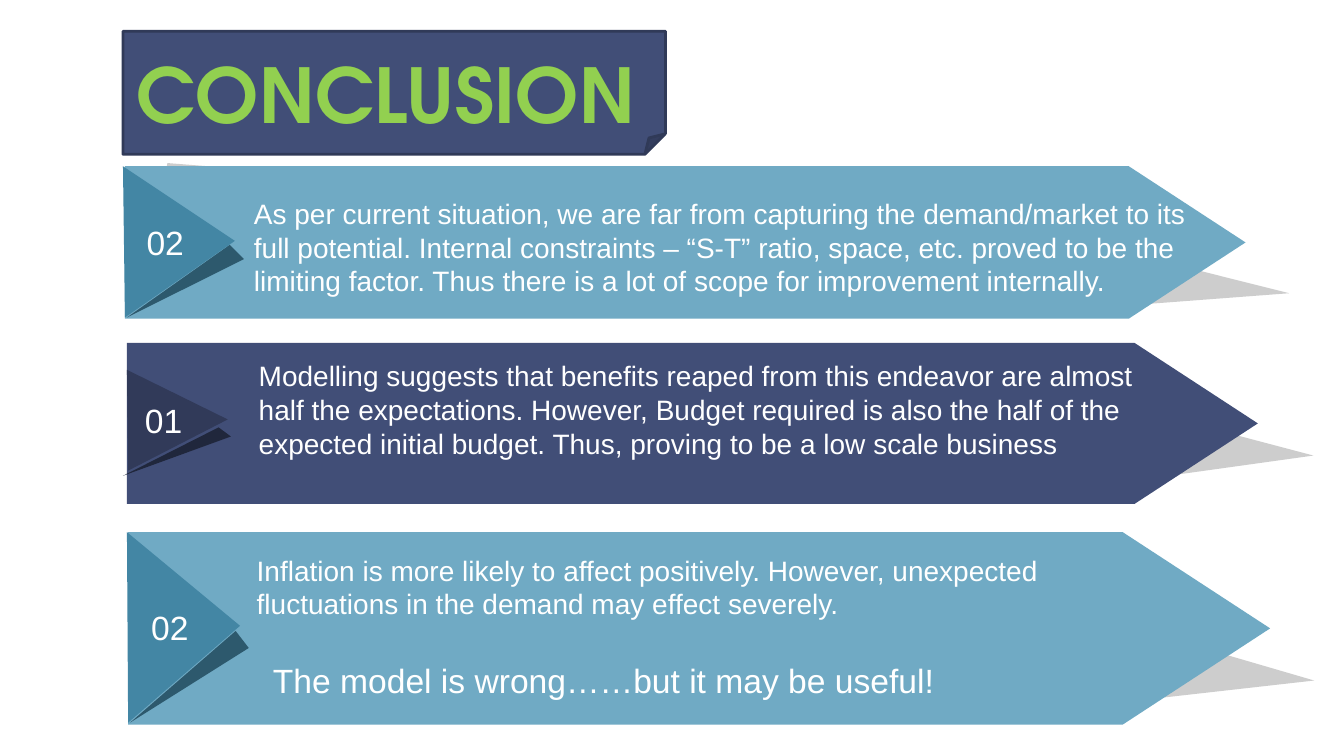
from pptx import Presentation, util as u
from pptx.dml.color import RGBColor
from pptx.enum import shapes, text

HUES = {
    "navy": "414E77", "edge": "303A58", "dusk": "313A59", "night": "20273C",
    "sky": "70AAC4", "teal": "4386A4", "deep": "2D596D",
    "grey": "CDCDCD", "lime": "92D050", "white": "FFFFFF",
}
NAVY = ("navy", "night", "dusk")
BLUE = ("sky", "deep", "teal")

BANDS = [
    ("01", NAVY, (3.2, 8.64, 28.5, 4.06),
     [(4.52, 8.76), (26.85, 9.83), (33.1, 11.48), (26.72, 12.37), (4.19, 11.18)],
     [(5.51, 10.77), (5.82, 11), (3.1, 11.99)],
     [(3.2, 9.32), (5.74, 10.57), (3.23, 11.86)]),
    ("02", BLUE, (3.15, 4.19, 28.24, 3.84),
     [(4.22, 4.11), (26.31, 5.84), (32.49, 7.39), (26.14, 7.87), (3.86, 6.05)],
     [(5.79, 6.17), (6.15, 6.53), (3.2, 8)],
     [(3.1, 4.19), (5.92, 6.07), (3.15, 8)]),
    ("02", BLUE, (3.23, 13.41, 28.78, 4.85),
     [(4.34, 13.56), (26.85, 15.32), (33.12, 17.15), (26.64, 17.88), (3.96, 16.03)],
     [(5.94, 15.9), (6.27, 16.33), (3.28, 18.21)],
     [(3.2, 13.41), (6.05, 15.77), (3.23, 18.21)]),
]

NOTES = [
    ((6.27, 8.92, 22.86, 2.82), 20,
     "Modelling suggests that benefits reaped from this endeavor are almost half "
     "the expectations. However, Budget required is also the half of the expected "
     "initial budget. Thus, proving to be a low scale business"),
    ((6.22, 13.82, 21.46, 1.96), 20,
     "Inflation is more likely to affect positively. However, unexpected "
     "fluctuations in the demand may effect severely."),
    ((6.63, 16.51, 20.35, 1.27), 24, "The model is wrong……but it may be useful!"),
    ((6.15, 4.83, 24.23, 2.82), 20,
     "As per current situation, we are far from capturing the demand/market to its "
     "full potential. Internal constraints – “S-T” ratio, space, etc. proved to be "
     "the limiting factor. Thus there is a lot of scope for improvement internally."),
]


class Deck:
    def __init__(self, wide, high):
        self.show = Presentation()
        self.show.slide_width, self.show.slide_height = u.Cm(wide), u.Cm(high)
        self.slide = self.show.slides.add_slide(self.show.slide_layouts[6])
        self.face = "Arial"

    def hue(self, name):
        return RGBColor.from_string(HUES[name])

    def paint(self, item, fill, line=None):
        item.shadow.inherit = False
        item.fill.solid()
        item.fill.fore_color.rgb = self.hue(fill)
        if line:
            item.line.color.rgb = self.hue(line)
            item.line.width = u.Pt(2)
        else:
            item.line.fill.background()
        return item

    def shape(self, home, kind, box, fill, line=None):
        return self.paint(home.add_shape(kind, *map(u.Cm, box)), fill, line)

    def outline(self, home, spots, fill):
        first, *rest = [(u.Cm(x), u.Cm(y)) for x, y in spots]
        pen = home.build_freeform(*first)
        pen.add_line_segments(rest)
        return self.paint(pen.convert_to_shape(), fill)

    def style(self, line, size, hue="white", face=None, bold=False):
        font = line.font
        font.name, font.size, font.bold = face or self.face, u.Pt(size), bold
        font.color.rgb = self.hue(hue)

    def note(self, box, words, size, **look):
        frame = self.slide.shapes.add_textbox(*map(u.Cm, box)).text_frame
        frame.word_wrap = True
        frame.auto_size = text.MSO_AUTO_SIZE.SHAPE_TO_FIT_TEXT
        frame.text = words
        self.style(frame.paragraphs[0], size, **look)

    def band(self, label, hues, box, shade, fold, flag):
        home = self.slide.shapes.add_group_shape().shapes
        body, dark, tip = hues
        self.outline(home, shade, "grey")
        arrow = self.shape(home, shapes.MSO_SHAPE.PENTAGON, box, body)
        arrow.adjustments[0] = 0.766
        self.outline(home, fold, dark)
        frame = self.outline(home, flag, tip).text_frame
        frame.margin_left, frame.margin_right = u.Cm(0.1), u.Cm(0.79)
        frame.margin_top = frame.margin_bottom = 0
        frame.vertical_anchor = text.MSO_ANCHOR.MIDDLE
        frame.text = label
        line = frame.paragraphs[0]
        line.alignment = text.PP_ALIGN.CENTER
        self.style(line, 24)


def main():
    deck = Deck(33.87, 19.05)
    deck.shape(deck.slide.shapes, shapes.MSO_SHAPE.FOLDED_CORNER,
               (3.1, 0.79, 13.67, 3.1), "navy", "edge")
    deck.note((3.2, 1.09, 13.56, 2.57), "CONCLUSION", 54,
              hue="lime", face="TeX Gyre Adventor", bold=True)
    for band in BANDS:
        deck.band(*band)
    for box, size, words in NOTES:
        deck.note(box, words, size)
    deck.show.save("out.pptx")


if __name__ == "__main__":
    main()
